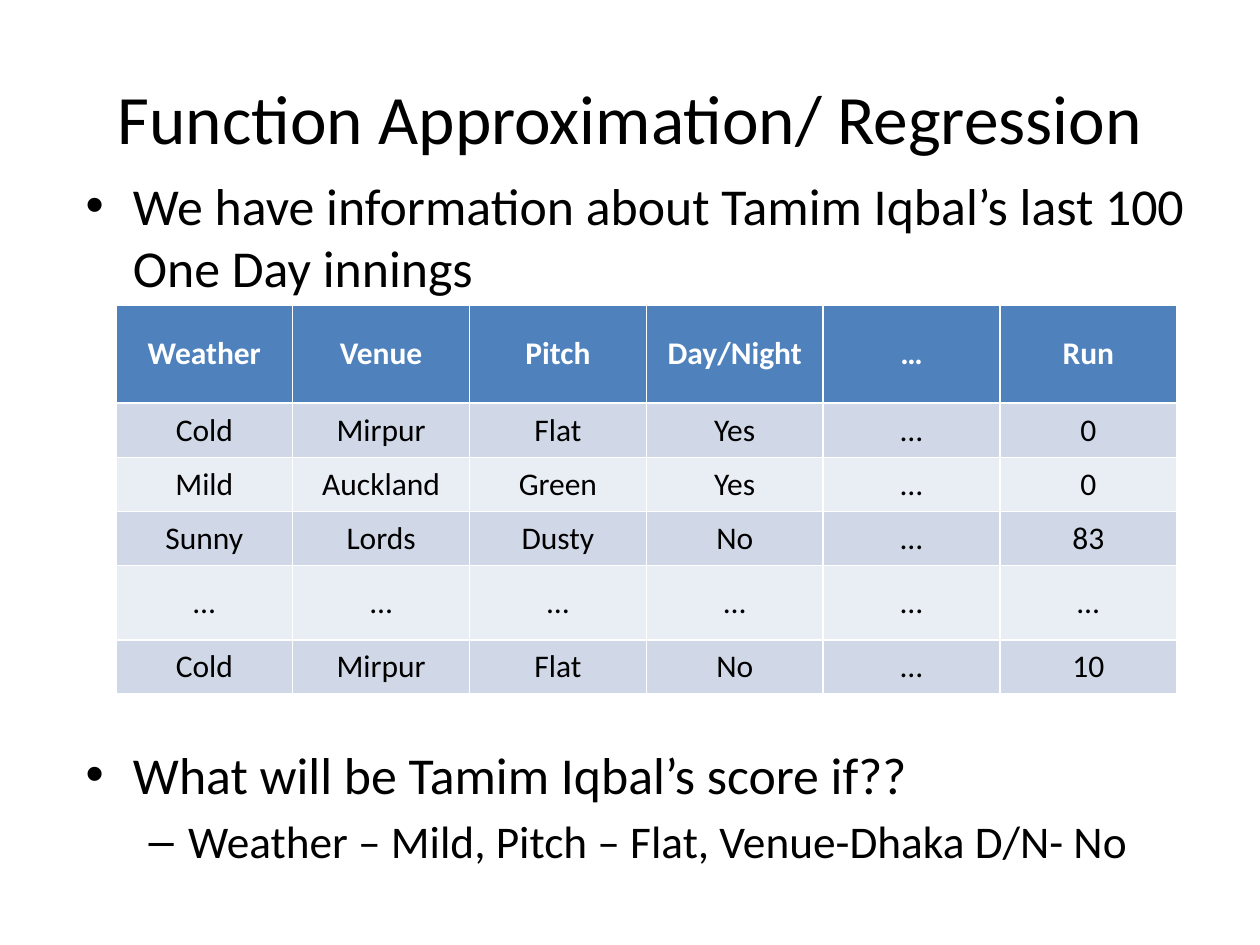
"""Build a slide on function approximation with a table of cricket innings."""
from pptx import Presentation
from pptx.dml.color import RGBColor
from pptx.enum.text import MSO_ANCHOR, MSO_AUTO_SIZE, PP_ALIGN
from pptx.util import Inches, Pt

MIDDLE = MSO_ANCHOR.MIDDLE
FIXED = MSO_AUTO_SIZE.NONE
CENTER = PP_ALIGN.CENTER

BLACK = RGBColor(0x00, 0x00, 0x00)
WHITE = RGBColor(0xFF, 0xFF, 0xFF)
BLUE = RGBColor(0x4F, 0x81, 0xBD)
BANDS = RGBColor(0xE9, 0xED, 0xF4), RGBColor(0xD0, 0xD8, 0xE8)

ITEMS = [
    ("We have information about Tamim Iqbal’s last 100 One Day innings", 0, 29.6, 6),
    ("What will be Tamim Iqbal’s score if??", 0, 29.6, 254),
    ("Weather – Mild, Pitch – Flat, Venue-Dhaka D/N- No", 1, 25.9, 5),
]
ROWS = [
    ("Weather", "Venue", "Pitch", "Day/Night", "…", "Run"),
    ("Cold", "Mirpur", "Flat", "Yes", "…", "0"),
    ("Mild", "Auckland", "Green", "Yes", "…", "0"),
    ("Sunny", "Lords", "Dusty", "No", "…", "83"),
    ("…",) * 6,
    ("Cold", "Mirpur", "Flat", "No", "…", "10"),
]
HEIGHTS = [0.78, 0.43, 0.43, 0.43, 0.59, 0.43]


class Deck:
    """Holds the text style and the current slide."""
    font = "Calibri"

    def __init__(self, slide):
        self.slide = slide

    def label(self, para, text, size, color=BLACK, bold=False):
        run = para.add_run()
        run.text = text
        run.font.name = self.font
        run.font.size = Pt(size)
        run.font.bold = bold
        run.font.color.rgb = color

    def place(self, shape, left, top, width, height):
        shape.left, shape.top = Inches(left), Inches(top)
        shape.width, shape.height = Inches(width), Inches(height)
        shape.text_frame.auto_size = FIXED
        return shape.text_frame

    def title(self, text, *box):
        frame = self.place(self.slide.shapes.title, *box)
        frame.vertical_anchor = MIDDLE
        para = frame.paragraphs[0]
        para.alignment = CENTER
        self.label(para, text, 39.6)

    def body(self, items, *box):
        frame = self.place(self.slide.placeholders[1], *box)
        for num, (text, level, size, space) in enumerate(items):
            para = frame.add_paragraph() if num else frame.paragraphs[0]
            para.level = level
            para.space_before = Pt(space)
            self.label(para, text, size)

    def table(self, rows, heights, left, top, width):
        frame = self.slide.shapes.add_table(
            len(rows), len(rows[0]), Inches(left), Inches(top),
            Inches(width), Inches(sum(heights)))
        grid = frame.table
        for num, (row, height) in enumerate(zip(rows, heights)):
            grid.rows[num].height = Inches(height)
            head = num == 0
            for col, text in enumerate(row):
                cell = grid.cell(num, col)
                cell.vertical_anchor = MIDDLE
                cell.fill.solid()
                cell.fill.fore_color.rgb = BLUE if head else BANDS[num % 2]
                para = cell.text_frame.paragraphs[0]
                para.alignment = CENTER
                self.label(para, text, 18, WHITE if head else BLACK, head)


def main():
    show = Presentation()
    show.slide_width, show.slide_height = Inches(10), Inches(7.5)
    deck = Deck(show.slides.add_slide(show.slide_layouts[1]))
    deck.title("Function Approximation/ Regression", 0.5, 0.3, 9, 1.25)
    deck.body(ITEMS, 0.58, 1.33, 9, 5.75)
    deck.table(ROWS, HEIGHTS, 0.92, 2.42, 8.42)
    show.save("out.pptx")


if __name__ == "__main__":
    main()
